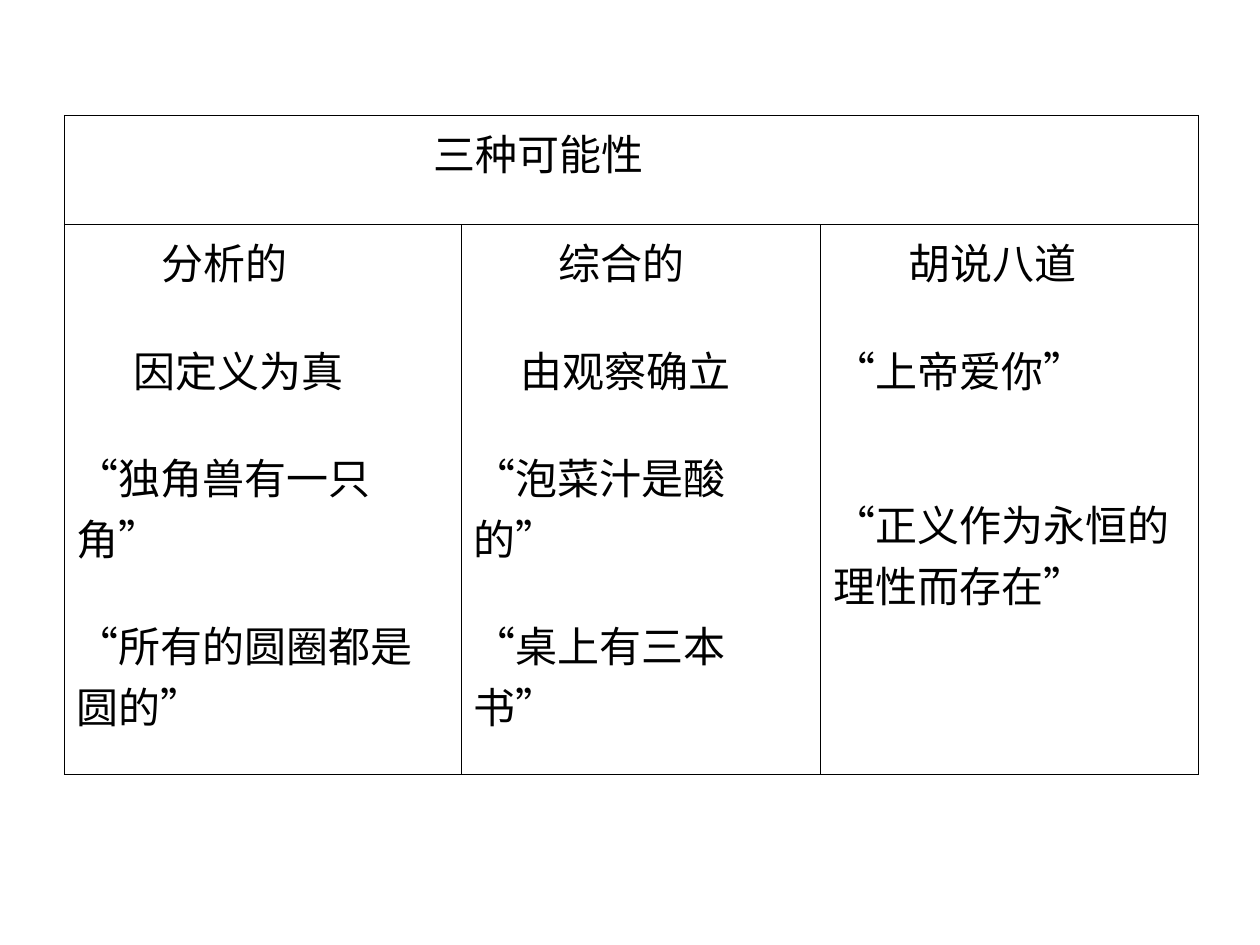
import pptx
import pptx.dml.color
import pptx.enum.lang
import pptx.oxml
import pptx.oxml.ns
import pptx.util

COLOURS = {"ink": "000000", "paper": "FFFFFF"}
PAGE_WIDTH, PAGE_HEIGHT = 10, 7.5
BORDER_POINTS = 0.45
EMPTY_LINE = 26.6  # gap between statements, in points
INDENT_STEP = 0.0745  # one step of indent, in inches

# Shares of the slide: left, top, width, height
TABLE_BOX = (0.051, 0.122, 0.9, 0.697)
COLUMN_SHARES = (0.35, 0.317, 0.333)
ROW_SHARES = (0.166, 0.834)

TEXT_FORMAT = {
    "name": "Arial",
    "size": pptx.util.Pt(24),
    "bold": False,
    "language_id": pptx.enum.lang.MSO_LANGUAGE_ID.SIMPLIFIED_CHINESE,
}

# Each line: text, indent steps, empty lines above
TITLE = [("三种可能性", 38, 0)]
KINDS = [
    [("分析的", 9, 0), ("因定义为真", 6, 1),
     ("“独角兽有一只角”", 0, 1), ("“所有的圆圈都是圆的”", 0, 1)],
    [("综合的", 9, 0), ("由观察确立", 5, 1),
     ("“泡菜汁是酸的”", 0, 1), ("“桌上有三本书”", 0, 1)],
    [("胡说八道", 8, 0), ("“上帝爱你”", 0, 1),
     ("“正义作为永恒的理性而存在”", 0, 2)],
]


def draw_borders(cell):
    properties = cell._tc.get_or_add_tcPr()
    width = int(pptx.util.Pt(BORDER_POINTS))
    for place, side in enumerate(("lnL", "lnR", "lnT", "lnB")):
        line = pptx.oxml.parse_xml(
            f'<a:{side} {pptx.oxml.ns.nsdecls("a")} w="{width}"><a:solidFill>'
            f'<a:srgbClr val="{COLOURS["ink"]}"/></a:solidFill></a:{side}>')
        properties.insert(place, line)


def write_lines(cell, lines):
    frame = cell.text_frame
    for number, (text, steps, empty_lines) in enumerate(lines):
        para = frame.add_paragraph() if number else frame.paragraphs[0]
        if empty_lines:
            para.space_before = pptx.util.Pt(EMPTY_LINE * empty_lines)
        if steps:
            indent = pptx.util.Inches(steps * INDENT_STEP)
            para._p.get_or_add_pPr().set("marL", str(int(indent)))
        span = para.add_run()
        span.text = text
        for name, value in TEXT_FORMAT.items():
            setattr(span.font, name, value)
        span.font.color.rgb = pptx.dml.color.RGBColor.from_string(COLOURS["ink"])


def place_table(page, box):
    left, top, width, height = (
        pptx.util.Inches(share * length)
        for share, length in zip(box, (PAGE_WIDTH, PAGE_HEIGHT) * 2))
    table = page.shapes.add_table(
        len(ROW_SHARES), len(COLUMN_SHARES), left, top, width, height).table
    table.first_row = table.horz_banding = False
    for column, share in zip(table.columns, COLUMN_SHARES):
        column.width = int(width * share)
    for row, share in zip(table.rows, ROW_SHARES):
        row.height = int(height * share)

    # Plain cells with thin lines
    for cell in table.iter_cells():
        cell.fill.background()
        draw_borders(cell)

    # Title across the top, one kind in each column below
    table.cell(0, 0).merge(table.cell(0, len(COLUMN_SHARES) - 1))
    write_lines(table.cell(0, 0), TITLE)
    for column, lines in enumerate(KINDS):
        write_lines(table.cell(1, column), lines)


def main():
    deck = pptx.Presentation()
    deck.slide_width = pptx.util.Inches(PAGE_WIDTH)
    deck.slide_height = pptx.util.Inches(PAGE_HEIGHT)
    page = deck.slides.add_slide(deck.slide_layouts[6])
    background = page.background.fill
    background.solid()
    background.fore_color.rgb = pptx.dml.color.RGBColor.from_string(COLOURS["paper"])
    place_table(page, TABLE_BOX)
    deck.save("out.pptx")


if __name__ == "__main__":
    main()
